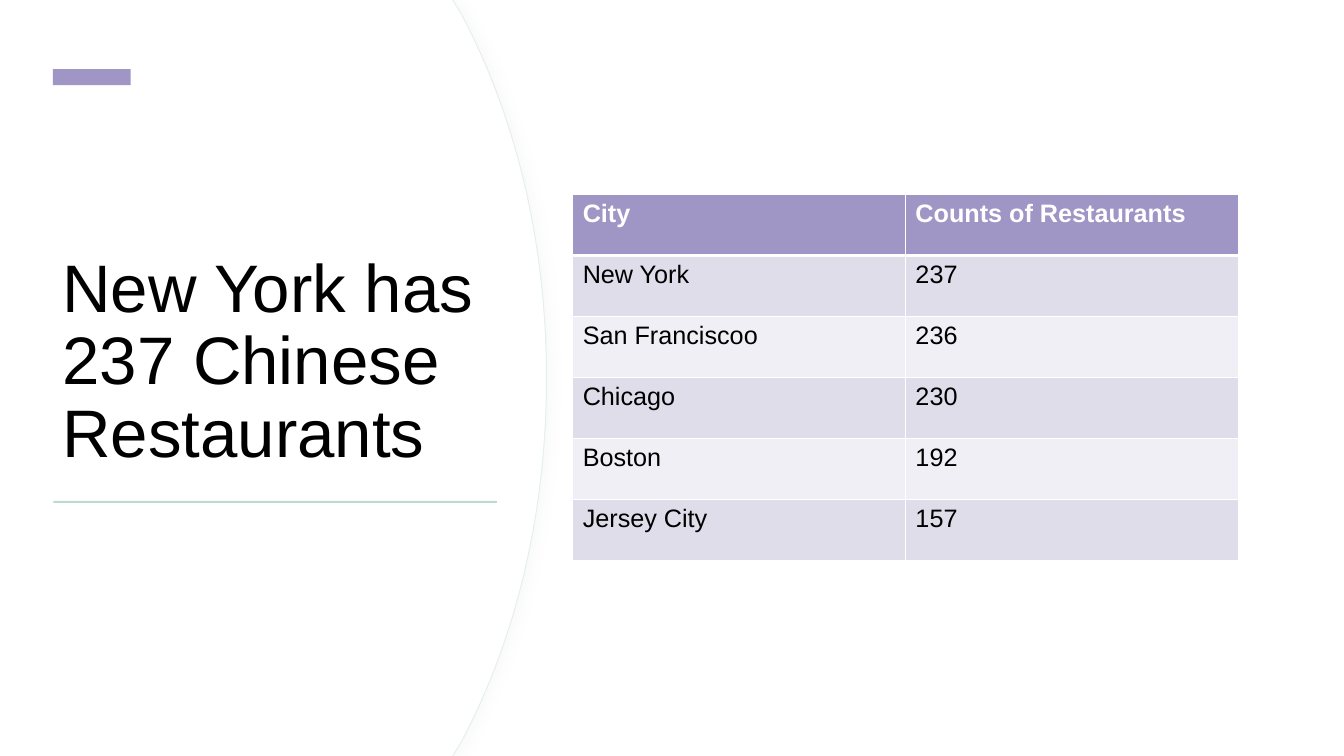
from lxml import etree
from pptx import Presentation
from pptx.dml.color import RGBColor
from pptx.enum.shapes import MSO_SHAPE
from pptx.enum.text import MSO_ANCHOR
from pptx.oxml import parse_xml
from pptx.oxml.ns import qn
from pptx.util import Pt

PX = 9144
RECT = MSO_SHAPE.RECTANGLE
BOTTOM = MSO_ANCHOR.BOTTOM
NS = "http://schemas.openxmlformats.org/drawingml/2006/main"


def color(code):
    return RGBColor.from_string(code)


def write(frame, text, size=18, ink="000000", bold=False, space=None):
    para = frame.paragraphs[0]
    para.line_spacing = space
    run = para.add_run()
    run.text = text
    run.font.name = "Arial"
    run.font.size = Pt(size)
    run.font.bold = bold
    run.font.color.rgb = color(ink)


deck = Presentation()
deck.slide_width = 1333 * PX
deck.slide_height = 750 * PX
slide = deck.slides.add_slide(deck.slide_layouts[6])
shapes = slide.shapes

for left, top, width, height, turn, fill in [
    (0, 0, 1333, 750, 0, "FFFFFF"),
    (83, 38, 16, 77, 90, "A096C6"),
    (53, 497, 440, 2, 0, "BDDACD"),
]:
    bar = shapes.add_shape(RECT, left * PX, top * PX, width * PX, height * PX)
    bar.rotation = turn
    bar.fill.solid()
    bar.fill.fore_color.rgb = color(fill)
    bar.line.fill.background()
    bar.shadow.inherit = False
    if left == 0:
        spot = len(shapes._spTree)

for shift, edged in [(0, True), (1, False)]:
    half = [(449, 0), (457, 13), (511, 114), (542, 239), (542, 375)]
    half = [((x - shift) * PX, y * PX) for x, y in half]
    lower = [(x, 750 * PX - y) for x, y in reversed(half)]
    path = shapes.build_freeform(0, 0)
    path.add_line_segments(
        [half[0], half[1], half[4], lower[3], lower[4], (0, 750 * PX)], close=True)
    panel = path.convert_to_shape()
    lines = list(panel._element.iter(qn("a:lnTo")))
    for line, pulls in [(lines[2], half[2:4]), (lines[3], lower[1:3])]:
        line.tag = qn("a:cubicBezTo")
        for place, (x, y) in enumerate(pulls):
            line.insert(place, etree.Element(qn("a:pt"), x=str(x), y=str(y)))
    panel.fill.solid()
    panel.fill.fore_color.rgb = color("FFFFFF")
    panel.shadow.inherit = False
    if edged:
        panel.line.color.rgb = color("E5F0EB")
        panel.line.width = Pt(0.75)
        effect = panel._element.spPr.find(qn("a:effectLst"))
        effect.append(parse_xml(
            f'<a:outerShdw xmlns:a="{NS}" blurRad="101600" dist="38100" dir="0">'
            '<a:srgbClr val="D9D9D9"><a:alpha val="15000"/></a:srgbClr></a:outerShdw>'))
    else:
        panel.line.fill.background()
    shapes._spTree.insert(spot, panel._element)
    spot += 1

title = shapes.add_textbox(52 * PX, 123 * PX, 440 * PX, 350 * PX).text_frame
title.word_wrap = True
title.vertical_anchor = BOTTOM
write(title, "New York has 237 Chinese Restaurants", size=48, space=0.9)

rows = [
    ("City", "Counts of Restaurants"),
    ("New York", "237"),
    ("San Franciscoo", "236"),
    ("Chicago", "230"),
    ("Boston", "192"),
    ("Jersey City", "157"),
]
table = shapes.add_table(len(rows), 2, 568 * PX, 193 * PX, 660 * PX, 363 * PX).table
for r, row in enumerate(rows):
    head = r == 0
    fill = "A096C6" if head else ("F0EFF5", "DFDDEA")[r % 2]
    for c, text in enumerate(row):
        cell = table.cell(r, c)
        write(cell.text_frame, text, ink="FFFFFF" if head else "000000", bold=head)
        props = cell._tc.get_or_add_tcPr()
        for side in "LRTB":
            thick = (head and side == "B") or (r == 1 and side == "T")
            edge = etree.SubElement(props, qn(f"a:ln{side}"), w=str(Pt(3 if thick else 1)))
            solid = etree.SubElement(edge, qn("a:solidFill"))
            etree.SubElement(solid, qn("a:srgbClr"), val="FFFFFF")
        cell.fill.solid()
        cell.fill.fore_color.rgb = color(fill)

deck.save("out.pptx")
